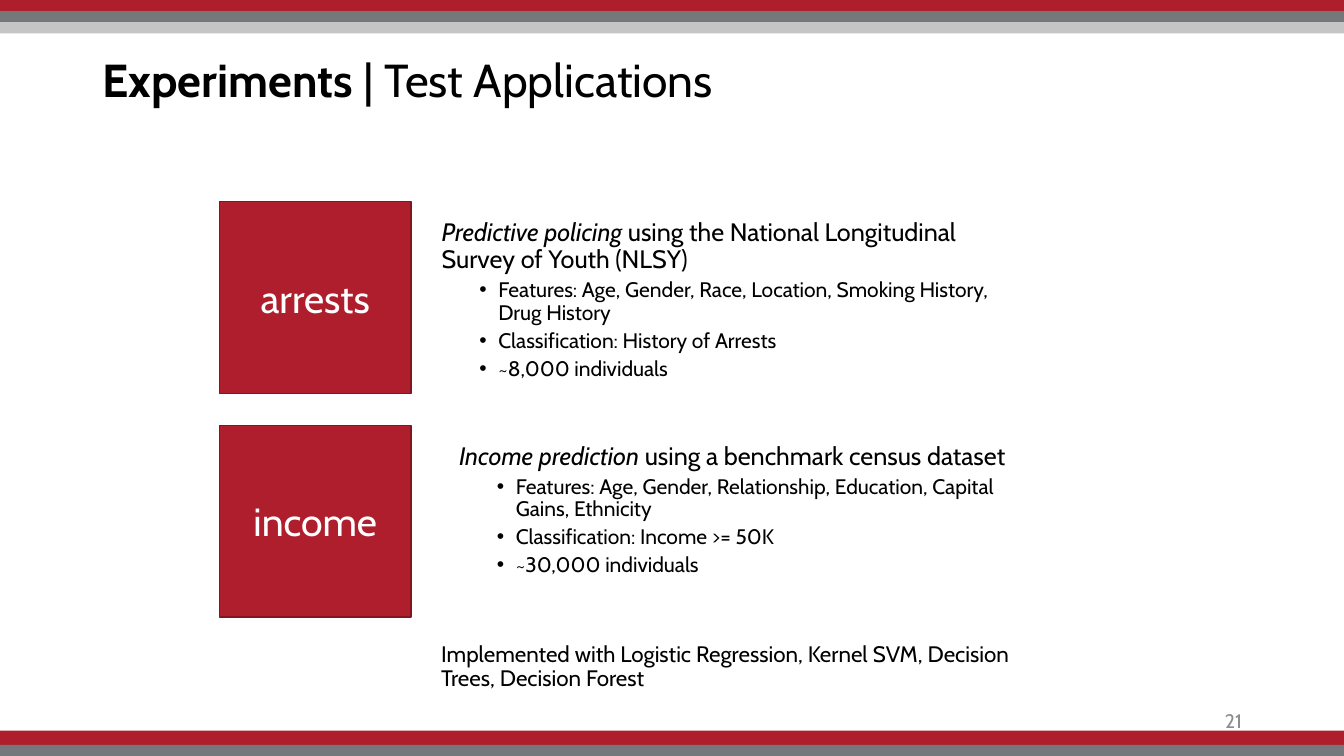
from lxml import etree
from pptx import Presentation
from pptx.dml.color import RGBColor
from pptx.enum.shapes import MSO_SHAPE as Shape
from pptx.enum.text import MSO_ANCHOR as Anchor, PP_ALIGN as Align
from pptx.oxml.ns import qn
from pptx.util import Cm, Pt

RED = RGBColor(0xAF, 0x1E, 0x2D)
DARK_RED = RGBColor(0x81, 0x16, 0x21)
GRAY = RGBColor(0x75, 0x78, 0x7B)
LIGHT_GRAY = RGBColor(0xC5, 0xC5, 0xC5)
NUMBER_GRAY = RGBColor(0x8C, 0x8C, 0x8C)
BLACK = RGBColor(0, 0, 0)
WHITE = RGBColor(0xFF, 0xFF, 0xFF)

FONT = "Cabin"
SLIDE_WIDTH, SLIDE_HEIGHT = 33.87, 19.05
CARD_SIZE = 4.83


def write(paragraph, text, size=15, color=BLACK, bold=False, italic=False):
    run = paragraph.add_run()
    run.text = text
    font = run.font
    font.name, font.size, font.color.rgb = FONT, Pt(size), color
    font.bold, font.italic = bold, italic


def space(paragraph, before=3.8):
    paragraph.line_spacing = 0.9
    paragraph.space_before = Pt(before)


def indent(paragraph, left, first=0, bullet=None):
    """Set the paragraph's margin and hanging indent in cm, with an optional bullet."""
    properties = paragraph._p.get_or_add_pPr()
    properties.set("marL", str(Cm(left)))
    properties.set("indent", str(Cm(first)))
    if bullet:
        etree.SubElement(properties, qn("a:buFont")).set("typeface", "Arial")
        etree.SubElement(properties, qn("a:buChar")).set("char", bullet)


def add_text_frame(slide, left, top, width, height, anchor=Anchor.TOP):
    box = slide.shapes.add_textbox(Cm(left), Cm(top), Cm(width), Cm(height))
    frame = box.text_frame
    frame.word_wrap = True
    frame.vertical_anchor = anchor
    return frame


def add_rectangle(slide, left, top, width, height, fill, line=None):
    rectangle = slide.shapes.add_shape(
        Shape.RECTANGLE, Cm(left), Cm(top), Cm(width), Cm(height))
    rectangle.shadow.inherit = False
    rectangle.fill.solid()
    rectangle.fill.fore_color.rgb = fill
    if line is None:
        rectangle.line.fill.background()
    else:
        rectangle.line.color.rgb = line
        rectangle.line.width = Pt(1)
    return rectangle


def add_stripes(slide, top, stripes):
    """Stack full-width stripes, given as (height, color), downwards from top."""
    for height, color in stripes:
        add_rectangle(slide, 0, top, SLIDE_WIDTH, height, color)
        top += height


def add_title(slide, left, top, width, height):
    frame = add_text_frame(slide, left, top, width, height, Anchor.MIDDLE)
    paragraph = frame.paragraphs[0]
    paragraph.line_spacing = 0.9
    write(paragraph, "Experiments", size=33, bold=True)
    write(paragraph, " | Test Applications", size=33)


def add_card(slide, left, top, label):
    card = add_rectangle(slide, left, top, CARD_SIZE, CARD_SIZE, RED, DARK_RED)
    frame = card.text_frame
    frame.vertical_anchor = Anchor.MIDDLE
    paragraph = frame.paragraphs[0]
    paragraph.alignment = Align.CENTER
    write(paragraph, label, size=28, color=WHITE)


def add_description(slide, left, top, width, height, topic, summary, details):
    frame = add_text_frame(slide, left, top, width, height)
    heading = frame.paragraphs[0]
    space(heading)
    indent(heading, 0.95)
    write(heading, topic, size=18, italic=True)
    write(heading, summary, size=18)
    for detail in details:
        paragraph = frame.add_paragraph()
        space(paragraph)
        indent(paragraph, 2.38, -0.48, "•")
        write(paragraph, detail)


def add_methods(slide, left, top, width, height):
    paragraph = add_text_frame(slide, left, top, width, height).paragraphs[0]
    space(paragraph, before=7.5)
    write(paragraph, "Implemented with Logistic Regression, Kernel SVM, "
          "Decision Trees, Decision Forest", size=16)


def add_slide_number(slide, left, top, width, height, number):
    frame = add_text_frame(slide, left, top, width, height, Anchor.MIDDLE)
    paragraph = frame.paragraphs[0]
    paragraph.alignment = Align.RIGHT
    write(paragraph, number, size=14, color=NUMBER_GRAY)


def build_applications_slide(presentation):
    slide = presentation.slides.add_slide(presentation.slide_layouts[6])
    add_stripes(slide, 0, [(0.28, RED), (0.28, GRAY), (0.28, LIGHT_GRAY)])
    add_stripes(slide, 18.41, [(0.36, RED), (0.28, GRAY)])
    add_title(slide, 2.33, 0.25, 29.21, 3.68)

    applications = [
        ("arrests", 9.93, "Predictive policing",
         " using the National Longitudinal Survey of Youth (NLSY)",
         ["Features: Age, Gender, Race, Location, Smoking History, Drug History",
          "Classification: History of Arrests",
          "~8,000 individuals"]),
        ("income", 10.37, "Income prediction",
         " using a benchmark census dataset",
         ["Features: Age, Gender, Relationship, Education, Capital Gains, Ethnicity",
          "Classification: Income >= 50K",
          "~30,000 individuals"]),
    ]
    for row, (label, text_left, topic, summary, details) in enumerate(applications):
        top = 5.08 + row * 5.64
        add_card(slide, 5.53, top, label)
        add_description(slide, text_left, top + 0.33, 16.38, 4.3,
                        topic, summary, details)

    add_slide_number(slide, 23.93, 17.65, 7.62, 1.02, "21")
    add_methods(slide, 10.87, 16.08, 15.88, 1.57)


def main():
    presentation = Presentation()
    presentation.slide_width = Cm(SLIDE_WIDTH)
    presentation.slide_height = Cm(SLIDE_HEIGHT)
    build_applications_slide(presentation)
    presentation.save("out.pptx")


if __name__ == "__main__":
    main()
